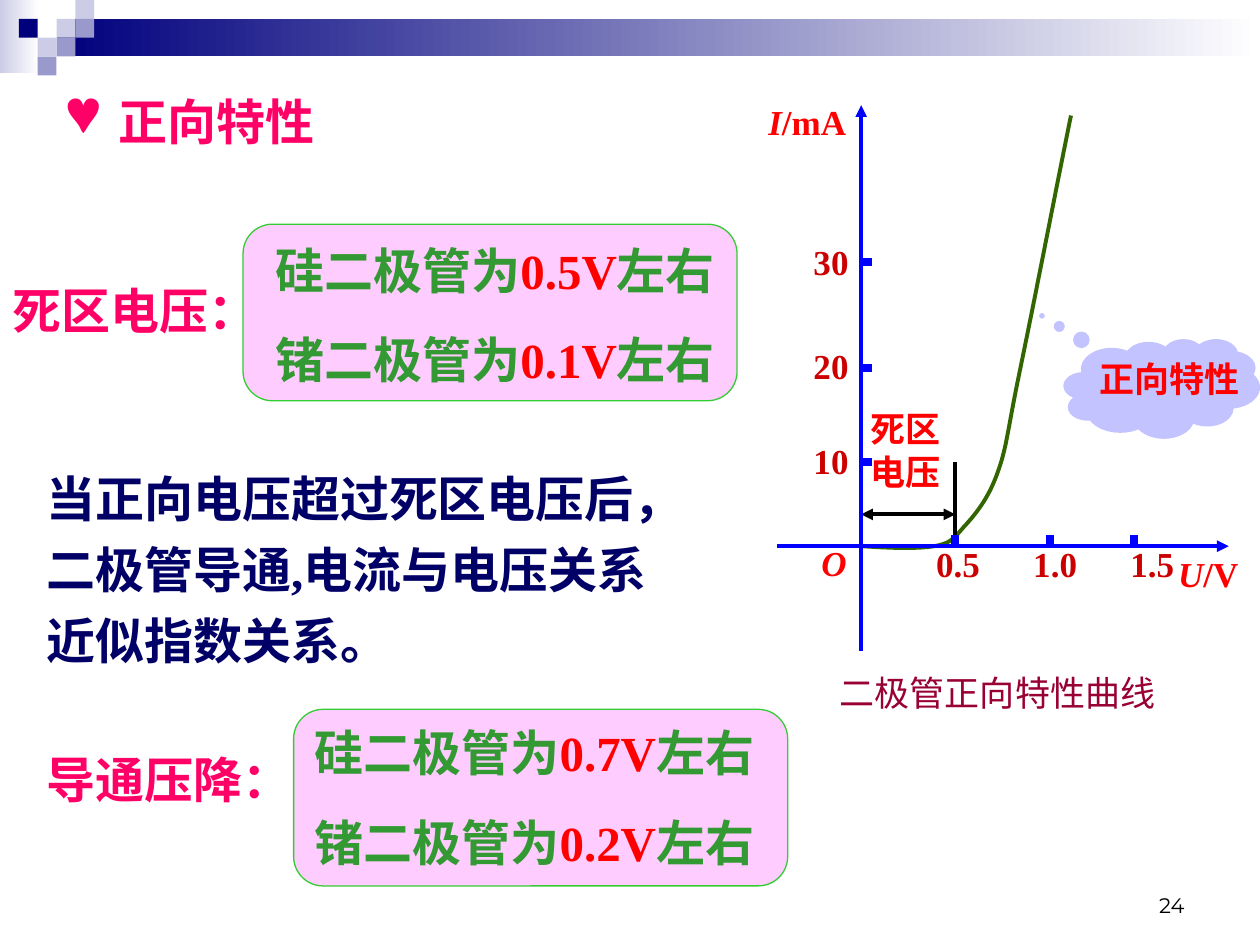
import pptx
import pptx.dml.color
import pptx.enum.shapes
import pptx.enum.text
import pptx.oxml
import pptx.oxml.ns
import pptx.util
from lxml import etree

Cm = pptx.util.Cm
Pt = pptx.util.Pt
MSO = pptx.enum.shapes.MSO_SHAPE
ALIGN = pptx.enum.text.PP_ALIGN
ANCHOR = pptx.enum.text.MSO_ANCHOR
FIT = pptx.enum.text.MSO_AUTO_SIZE.SHAPE_TO_FIT_TEXT
qn = pptx.oxml.ns.qn

NAVY, LILAC, VIOLET = "00007D", "CCCCE6", "9999CC"
PINK, GREEN, RED, DARK_RED, BLUE = "FF0066", "339933", "FF0000", "CC0000", "0000FF"


def rgb(value):
    return pptx.dml.color.RGBColor.from_string(value)


def bezier(p0, p1, p2, p3, steps=16):
    for i in range(1, steps + 1):
        t = i / steps
        u = 1 - t
        yield tuple(
            u**3 * a + 3 * u * u * t * b + 3 * u * t * t * c + t**3 * d
            for a, b, c, d in zip(p0, p1, p2, p3)
        )


class SlideBuilder:
    base = {"name": "Times New Roman", "size": Pt(20), "bold": True}
    large = {"size": Pt(28)}

    def __init__(self, slide):
        self.slide = slide

    def shape(self, kind, box, fill, line=None, alpha=None):
        sp = self.slide.shapes.add_shape(kind, *map(Cm, box))
        sp.shadow.inherit = False
        sp.fill.solid()
        sp.fill.fore_color.rgb = rgb(fill)
        if alpha:
            clr = sp.fill._xPr.find(".//" + qn("a:srgbClr"))
            etree.SubElement(clr, qn("a:alpha")).set("val", str(alpha * 1000))
        if line:
            sp.line.color.rgb = rgb(line)
            sp.line.width = Pt(0.75)
        else:
            sp.line.fill.background()
        return sp

    def gradient(self, box, start, end):
        sp = self.shape(MSO.RECTANGLE, box, start)
        sp.fill.gradient()
        sp.fill.gradient_angle = 0
        for stop, color, pos in zip(sp.fill.gradient_stops, (start, end), (0, 1)):
            stop.color.rgb = rgb(color)
            stop.position = pos

    def line(self, start, end, color, width=2.25, heads=()):
        cx = self.slide.shapes.add_connector(
            pptx.enum.shapes.MSO_CONNECTOR.STRAIGHT, *map(Cm, start + end)
        )
        cx.line.color.rgb = rgb(color)
        cx.line.width = Pt(width)
        for tag in heads:
            etree.SubElement(cx.line._get_or_add_ln(), qn(tag)).set("type", "triangle")
        etree.SubElement(cx._element.spPr, qn("a:effectLst"))

    def curve(self, start, segments, color):
        points = []
        last = start
        for segment in segments:
            points += bezier(last, *segment)
            last = segment[-1]
        builder = self.slide.shapes.build_freeform(*map(Cm, start))
        builder.add_line_segments([(Cm(x), Cm(y)) for x, y in points], close=False)
        sp = builder.convert_to_shape()
        sp.shadow.inherit = False
        sp.fill.background()
        sp.line.color.rgb = rgb(color)
        sp.line.width = Pt(2.25)

    def text(self, box, paragraphs, style=None, before=0, fit=True):
        sp = self.slide.shapes.add_textbox(*map(Cm, box))
        tf = sp.text_frame
        tf.word_wrap = True
        if fit:
            tf.auto_size = FIT
        for i, runs in enumerate(paragraphs):
            p = tf.add_paragraph() if i else tf.paragraphs[0]
            if i:
                p.space_before = Pt(before)
            for content, color, *extra in runs:
                r = p.add_run()
                r.text = content
                r.font.color.rgb = rgb(color)
                formats = {**self.base, **(style or {}), **(extra[0] if extra else {})}
                for name, value in formats.items():
                    setattr(r.font, name, value)
        return tf

    def bullet(self, p, char, color, indent):
        pPr = p._p.get_or_add_pPr()
        pPr.set("marL", str(Cm(indent)))
        pPr.set("indent", str(-Cm(indent)))
        clr = etree.SubElement(pPr, qn("a:buClr"))
        etree.SubElement(clr, qn("a:srgbClr")).set("val", color)
        etree.SubElement(pPr, qn("a:buChar")).set("char", char)

    def voltages(self, panel, box, silicon, germanium):
        self.shape(MSO.FLOWCHART_ALTERNATE_PROCESS, panel, "FFCCFF", "33CC33")
        rows = [
            [(name + "二极管为", GREEN), (value, RED), ("左右", GREEN)]
            for name, value in (("硅", silicon), ("锗", germanium))
        ]
        self.text(box, rows, self.large, 17.5)


def add_header(s):
    s.gradient((0, 0, 0.79, 1.47), LILAC, "FFFFFF")
    s.gradient((1.14, 0.38, 24.26, 0.76), NAVY, "FFFFFF")
    side = 0.38
    for col, row, color in (
        (3, 1, LILAC), (4, 0, LILAC), (4, 1, VIOLET), (2, 2, LILAC),
        (1, 1, NAVY), (3, 2, VIOLET), (2, 3, VIOLET),
    ):
        s.shape(MSO.RECTANGLE, (col * side, row * side, side, side), color)


def add_notes(s):
    tf = s.text((1.09, 1.73, 7.32, 1.45), [[("正向特性", PINK)]], s.large)
    s.bullet(tf.paragraphs[0], "♥", PINK, 1.05)
    s.voltages((4.9, 4.52, 9.96, 3.56), (5.31, 4.72, 10.82, 3.25), "0.5V", "0.1V")
    s.voltages((5.92, 14.3, 9.96, 3.56), (6.1, 14.45, 11.51, 3.25), "0.7V", "0.2V")
    s.text((0, 5.54, 6.1, 1.45), [[("死区电压：", PINK)]], s.large)
    s.text((0.69, 14.99, 6.78, 1.45), [[("导通压降：", PINK)]], s.large)
    lines = ("当正向电压超过死区电压后，", "二极管导通,电流与电压关系", "近似指数关系。")
    s.text((0.69, 9.32, 13.87, 4.32), [[(t, "000066")] for t in lines], s.large, 7)


def add_diagram(s):
    x0, y0 = 17.36, 11.01
    dead_x, tick, height = 19.26, 0.22, 1.12
    italic = {"italic": True}

    s.shape(MSO.CLOUD_CALLOUT, (21.44, 6.83, 3.96, 2.01), "9999FF", alpha=58)
    cloud = s.slide.shapes[-1]
    cloud.adjustments[0], cloud.adjustments[1] = -0.61, -0.73
    s.curve((x0, y0), [
        [(17.93, 11.05), (18.49, 11.07), (18.84, 11.01)],
        [(19.2, 10.95), (19.25, 10.82), (19.47, 10.58)],
        [(19.69, 10.34), (19.94, 10.02), (20.11, 9.53)],
        [(20.29, 9.04), (20.29, 8.81), (20.53, 7.62)],
        [(20.78, 6.43), (21.18, 4.37), (21.59, 2.33)],
    ], "336600")
    s.line((dead_x, y0 - tick), (dead_x, 9.31), "000000")
    s.line((x0, 10.37), (dead_x, 10.37), "000000", heads=("a:headEnd", "a:tailEnd"))
    s.text((17.3, 8.1, 1.93, 1.96), [[("死区电压", RED)]])
    s.text((21.92, 7.09, 3.48, height), [[("正向特性", RED)]])

    for i, (x, label) in enumerate(((dead_x, "0.5"), (21.17, "1.0"), (22.86, "1.5"))):
        s.line((x, y0 - tick), (x, y0), BLUE, 4.5)
        s.text((18.62 + 1.96 * i, 10.82, 1.7, height), [[(label, DARK_RED)]])
    for y, top, label in ((9.31, 8.74, "10"), (7.41, 6.83, "20"), (5.29, 4.72, "30")):
        s.line((x0, y), (x0 + tick, y), BLUE, 4.5)
        s.text((16.15, top, 1.7, height), [[(label, DARK_RED)]])
    s.line((15.67, y0), (24.77, y0), BLUE, heads=("a:tailEnd",))
    s.line((x0, 13.12), (x0, 2.12), BLUE, heads=("a:tailEnd",))

    s.text((23.5, 11.01, 1.9, height), [[("U", RED, italic), ("/V", RED)]])
    s.text((15.24, 1.91, 2.12, height), [[("I", RED, italic), ("/mA", RED)]])
    s.text((16.31, 10.8, 1.27, height), [[("O", RED, italic)]])
    s.text((16.68, 13.41, 7.68, height), [[("二极管正向特性曲线", "990033")]], {"bold": False})


def add_page_number(s):
    style = {"name": "Montserrat", "size": Pt(12), "bold": False}
    tf = s.text((18.21, 17.35, 5.92, 1.27), [[("24", "000000")]], style, fit=False)
    tf.vertical_anchor = ANCHOR.BOTTOM
    tf.paragraphs[0].alignment = ALIGN.RIGHT


def main():
    prs = pptx.Presentation()
    prs.slide_width, prs.slide_height = Cm(25.4), Cm(19.05)
    s = SlideBuilder(prs.slides.add_slide(prs.slide_layouts[6]))
    add_header(s)
    add_page_number(s)
    add_notes(s)
    add_diagram(s)
    prs.save("out.pptx")


if __name__ == "__main__":
    main()
